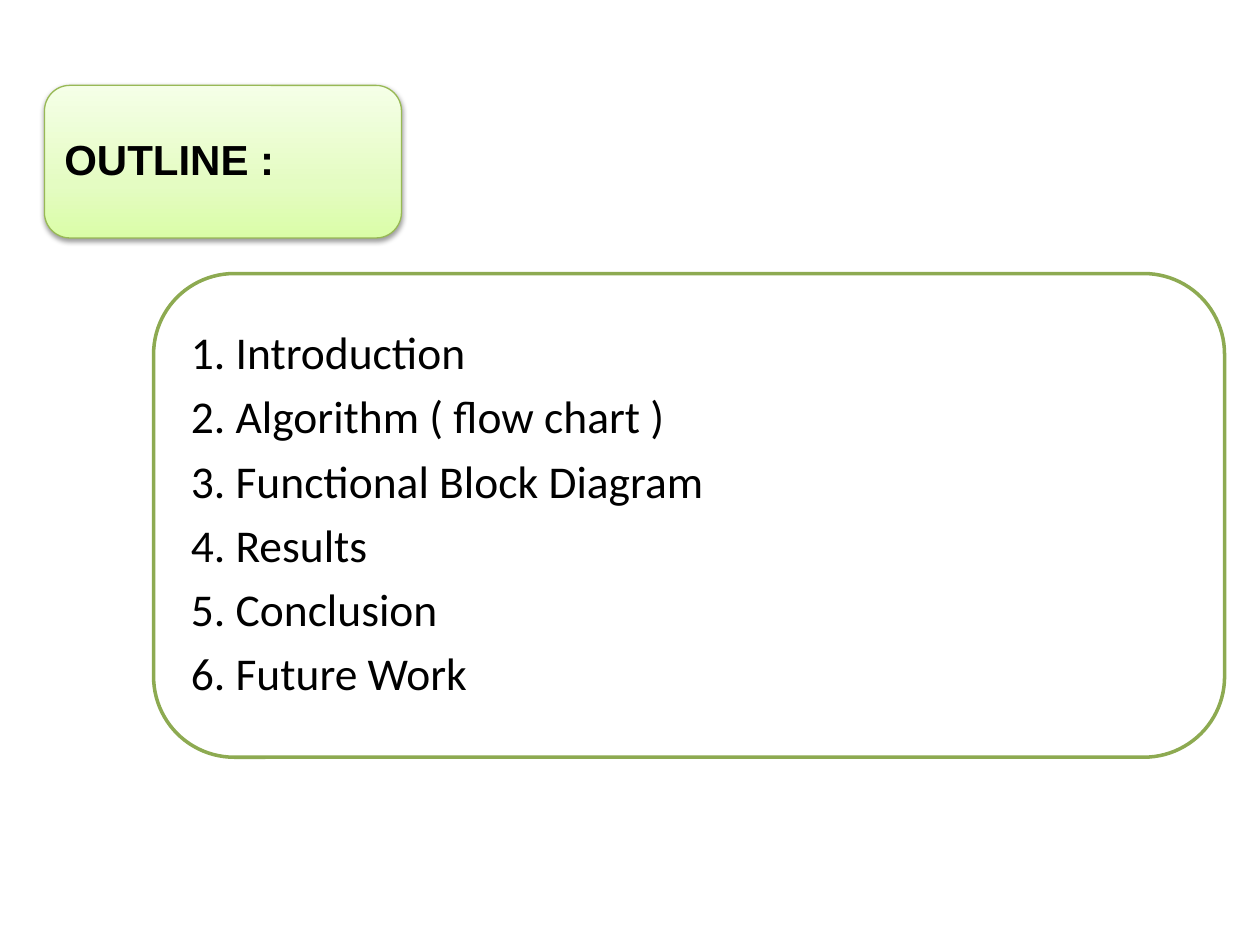
from copy import deepcopy
from dataclasses import dataclass

from lxml import etree
from pptx import Presentation
from pptx.dml.color import RGBColor
from pptx.enum import shapes, text
from pptx.oxml import ns
from pptx.util import Pt


@dataclass(frozen=True)
class Theme:
    ink: str = "000000"
    panel: str = "FFFFFF"
    panel_line: str = "8DAA51"
    title_line: str = "98B955"
    title_stops: tuple = ((0, "DAFDA7"), (35, "E4FCC2"), (100, "F5FFE7"))
    title_font: str = "Arial"
    title_size: float = 24
    list_font: str = "Calibri"
    list_size: float = 26


THEME = Theme()
TOPICS = ["Introduction", "Algorithm ( flow chart )", "Functional Block Diagram",
          "Results", "Conclusion", "Future Work"]


def add_rounded_box(s, box, line, width):
    sp = s.shapes.add_shape(shapes.MSO_SHAPE.ROUNDED_RECTANGLE, *map(Pt, box))
    sp.shadow.inherit = False
    sp.line.color.rgb = RGBColor.from_string(line)
    sp.line.width = Pt(width)
    return sp


def fill_text(sp, lines, font, size, inset, bold=False):
    tf = sp.text_frame
    tf.word_wrap = True
    tf.vertical_anchor = text.MSO_ANCHOR.MIDDLE
    tf.margin_left = tf.margin_right = tf.margin_top = tf.margin_bottom = Pt(inset)
    tf.text = "\n".join(lines)
    for p in tf.paragraphs:
        p.alignment = text.PP_ALIGN.LEFT
        p.line_spacing = 0.9
        p.space_after = Pt(size * 0.33)
        p.font.name = font
        p.font.size = Pt(size)
        p.font.bold = bold
        p.font.color.rgb = RGBColor.from_string(THEME.ink)


def fill_gradient(sp, stops, angle):
    """Fill with any number of (percent, colour) stops."""
    sp.fill.gradient()
    sp.fill.gradient_angle = angle
    stop_list = sp.fill._xPr.find(".//" + ns.qn("a:gsLst"))
    template = deepcopy(stop_list[0])
    for stop in list(stop_list):
        stop_list.remove(stop)
    for _ in stops:
        stop_list.append(deepcopy(template))
    for stop, (percent, color) in zip(sp.fill.gradient_stops, stops):
        stop.position = percent / 100
        stop.color.rgb = RGBColor.from_string(color)


def add_shadow(sp, color, alpha, blur, distance):
    """Cast a soft shadow straight down; alpha is in percent."""
    effects = sp._element.spPr.find(ns.qn("a:effectLst"))
    shadow = etree.SubElement(effects, ns.qn("a:outerShdw"), blurRad=str(Pt(blur)),
                              dist=str(Pt(distance)), dir="5400000", rotWithShape="0")
    rgb = etree.SubElement(shadow, ns.qn("a:srgbClr"), val=color)
    etree.SubElement(rgb, ns.qn("a:alpha"), val=str(alpha * 1000))


def add_title(s, box, title):
    sp = add_rounded_box(s, box, THEME.title_line, 0.75)
    fill_gradient(sp, THEME.title_stops, 90)
    add_shadow(sp, THEME.ink, 38, 3.1, 1.6)
    fill_text(sp, [title], THEME.title_font, THEME.title_size, 7.2, bold=True)


def add_topic_list(s, box, topics):
    sp = add_rounded_box(s, box, THEME.panel_line, 2)
    sp.fill.solid()
    sp.fill.fore_color.rgb = RGBColor.from_string(THEME.panel)
    lines = [f"{i}. {topic}" for i, topic in enumerate(topics, 1)]
    fill_text(sp, lines, THEME.list_font, THEME.list_size, 7.8)


def main():
    prs = Presentation()
    prs.slide_width, prs.slide_height = Pt(720), Pt(540)
    s = prs.slides.add_slide(prs.slide_layouts[6])
    add_title(s, (25.4, 48.8, 204, 87.2), "OUTLINE :")
    add_topic_list(s, (87.8, 156.3, 612, 276.4), TOPICS)
    prs.save("out.pptx")


if __name__ == "__main__":
    main()
